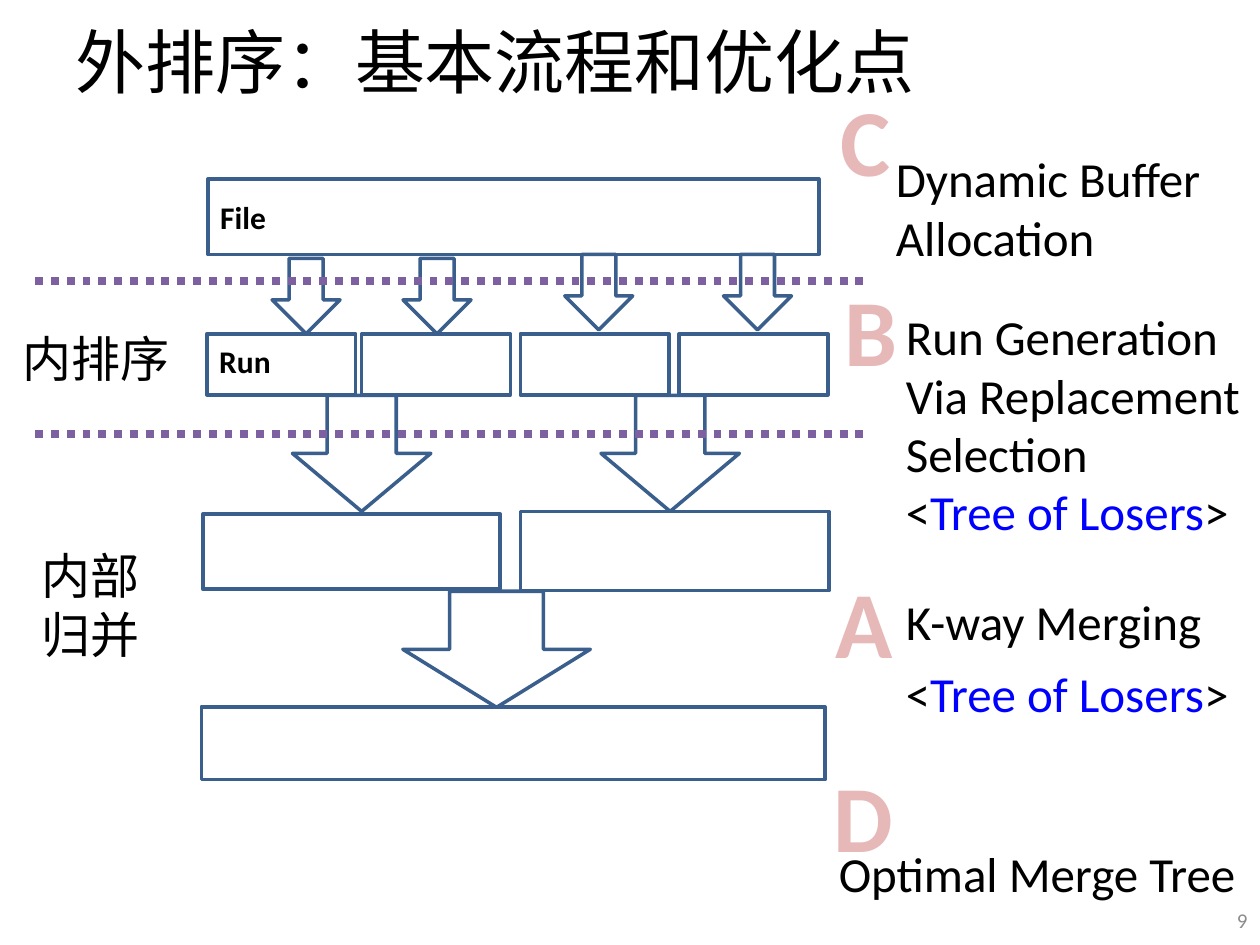
"""Build a slide on the basic flow of external sorting and its optimization points."""
import pptx
import pptx.dml.color
import pptx.enum.dml
import pptx.enum.shapes
import pptx.enum.text
import pptx.oxml.ns
import pptx.util
from lxml import etree

Cm = pptx.util.Cm
Pt = pptx.util.Pt
ALIGN = pptx.enum.text.PP_ALIGN
ANCHOR = pptx.enum.text.MSO_ANCHOR
SHAPE = pptx.enum.shapes.MSO_SHAPE

COLORS = {
    "text": "000000",
    "highlight": "0000FF",
    "letter": "E6B9B8",
    "outline": "3A5F8C",
    "divider": "7D60A0",
    "number": "8C8C8C",
}
LOSERS = [("<", "text"), ("Tree of Losers", "highlight"), (">", "text")]


def rgb(name):
    return pptx.dml.color.RGBColor.from_string(COLORS[name])


def add_text(page, place, lines, size=28, color="text", font="Calibri", bold=False,
             align=ALIGN.LEFT, anchor=ANCHOR.TOP, wrap=True):
    box = page.shapes.add_textbox(*map(Cm, place))
    frame = box.text_frame
    frame.word_wrap = wrap
    frame.vertical_anchor = anchor
    for index, line in enumerate(lines):
        para = frame.paragraphs[0] if index == 0 else frame.add_paragraph()
        para.alignment = align
        para.font.size = Pt(size)
        para.font.name = font
        para.font.bold = bold
        spans = [(line, color)] if isinstance(line, str) else line
        for text, span_color in spans:
            span = para.add_run()
            span.text = text
            span.font.color.rgb = rgb(span_color)


def add_outline(page, kind, place):
    shape = page.shapes.add_shape(kind, *map(Cm, place))
    shape.shadow.inherit = False
    shape.fill.background()
    shape.line.color.rgb = rgb("outline")
    shape.line.width = Pt(2)
    return shape


def add_down_arrow(page, center_x, center_y, length, breadth):
    place = (center_x - length / 2, center_y - breadth / 2, length, breadth)
    add_outline(page, SHAPE.RIGHT_ARROW, place).rotation = 90


def add_divider(page, top):
    line = page.shapes.add_connector(
        pptx.enum.shapes.MSO_CONNECTOR.STRAIGHT, Cm(0.71), Cm(top), Cm(17.5), Cm(top))
    line.line.color.rgb = rgb("divider")
    line.line.width = Pt(4.5)
    line.line.dash_style = pptx.enum.dml.MSO_LINE.ROUND_DOT
    properties = line._element.find(pptx.oxml.ns.qn("p:spPr"))
    etree.SubElement(properties, pptx.oxml.ns.qn("a:effectLst"))


def add_notes_column(page):
    left, width = 18.01, 7.39
    add_text(page, (17.81, 2.87, width, 2.64), ["Dynamic Buffer", "Allocation"])
    add_text(page, (left, 6.05, width, 3.84), ["Run Generation", "Via Replacement Selection"])
    for top, line in ((9.58, LOSERS), (11.79, "K-way Merging"), (13.26, LOSERS)):
        add_text(page, (left, top, width, 1.45), [line])
    add_text(page, (16.66, 16.87, 8.74, 1.45), ["Optimal Merge Tree"])


def add_flow(page):
    boxes = [
        (4.19, 3.61, 12.32, 1.52),
        (4.09, 10.36, 5.99, 1.52),
        (10.49, 10.31, 6.22, 1.6),
        (4.06, 14.25, 12.57, 1.47),
    ]
    boxes += [(left, 6.73, 3, 1.23) for left in (4.17, 7.29, 10.49, 13.69)]
    for place in boxes:
        add_outline(page, SHAPE.RECTANGLE, place)
    for center_x, center_y in ((6.17, 5.97), (8.81, 5.97), (12.07, 5.89), (15.27, 5.89)):
        add_down_arrow(page, center_x, center_y, 1.52, 1.37)
    for center_x in (7.29, 13.51):
        add_down_arrow(page, center_x, 9.14, 2.34, 2.79)
    add_down_arrow(page, 10.01, 13.09, 2.34, 3.78)


def main():
    deck = pptx.Presentation()
    deck.slide_width, deck.slide_height = Cm(25.4), Cm(19.05)
    page = deck.slides.add_slide(deck.slide_layouts[6])

    add_text(page, (1.27, -0.08, 22.86, 2.59), ["外排序：基本流程和优化点"], size=40,
             font="Times New Roman", anchor=ANCHOR.MIDDLE)
    add_text(page, (24.31, 18.03, 1.09, 1.02), ["9"], size=12, color="number",
             align=ALIGN.RIGHT, anchor=ANCHOR.MIDDLE)
    add_notes_column(page)
    add_text(page, (0.2, 6.5, 4.09, 1.45), ["内排序"])
    add_text(page, (0.58, 10.87, 3.33, 2.64), ["内部归并"])
    add_flow(page)
    letters = (("A", 16.59, 11.25, 1.68), ("B", 16.76, 5.36, 1.6),
               ("C", 16.69, 1.52, 1.52), ("D", 16.54, 15.16, 1.73))
    for letter, left, top, width in letters:
        add_text(page, (left, top, width, 2.57), [letter], size=54, color="letter",
                 bold=True, align=ALIGN.CENTER, wrap=False)
    for top in (5.66, 8.74):
        add_divider(page, top)
    add_text(page, (4.19, 3.86, 1.45, 1.02), ["File"], size=18, bold=True, wrap=False)
    add_text(page, (4.17, 6.78, 1.8, 1.02), ["Run"], size=18, bold=True)
    deck.save("out.pptx")


if __name__ == "__main__":
    main()
